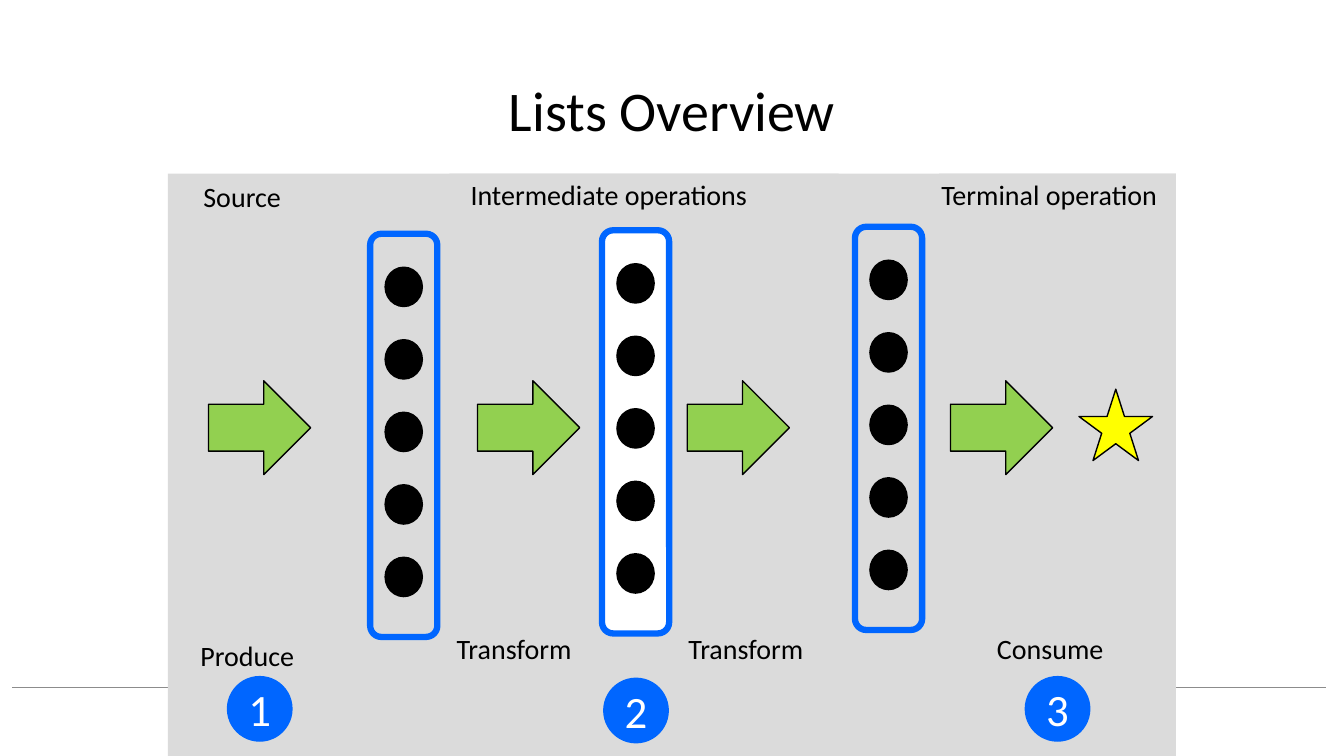
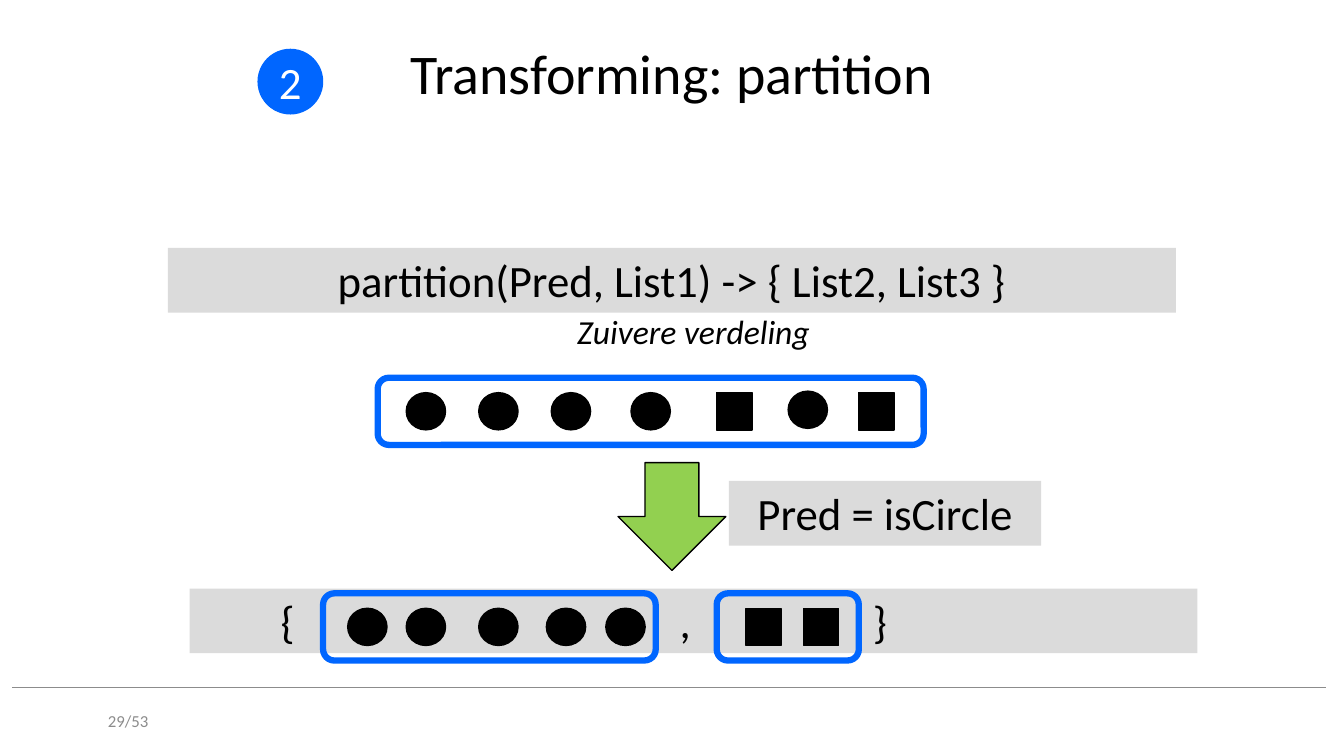
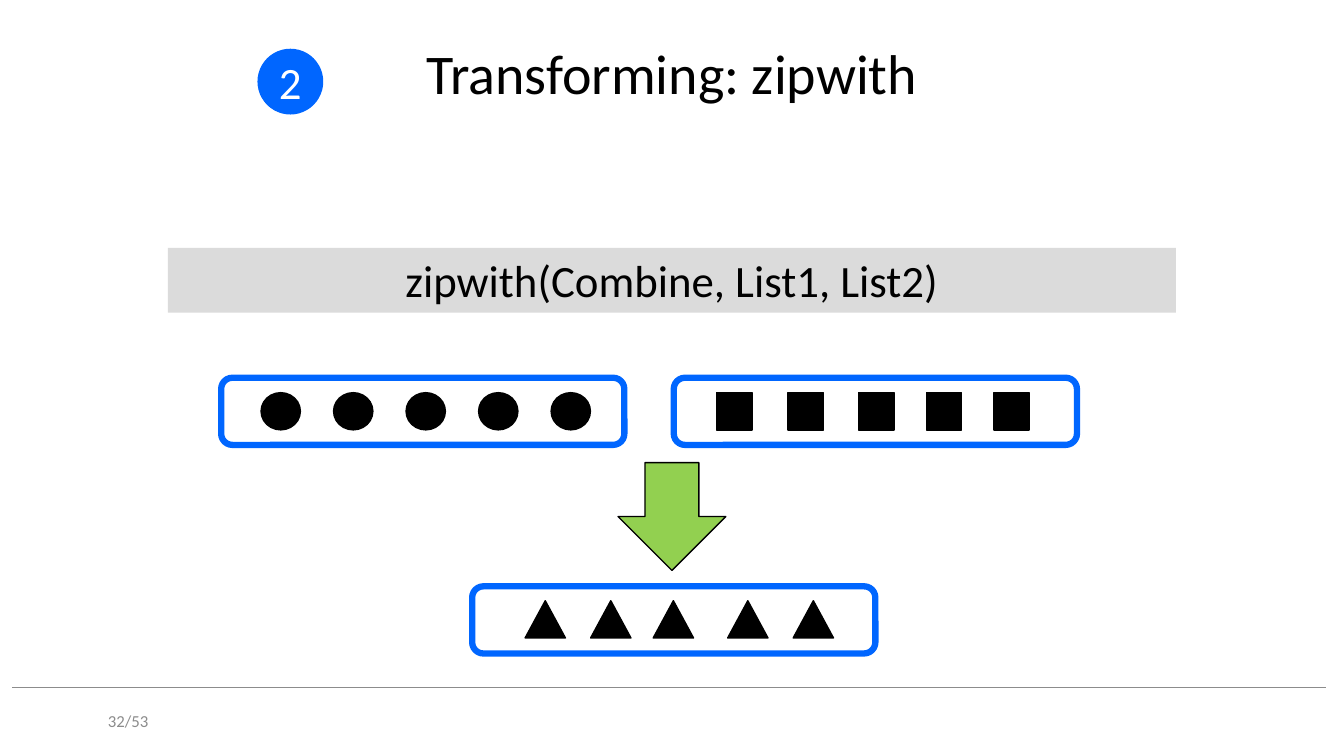
from lxml import etree
from pptx import Presentation
from pptx.dml.color import RGBColor
from pptx.enum.shapes import MSO_CONNECTOR, MSO_SHAPE
from pptx.enum.text import MSO_ANCHOR, MSO_AUTO_SIZE, PP_ALIGN
from pptx.oxml.ns import qn
from pptx.util import Pt

RECT, CAPSULE = MSO_SHAPE.RECTANGLE, MSO_SHAPE.ROUNDED_RECTANGLE
CIRCLE, TRIANGLE = MSO_SHAPE.OVAL, MSO_SHAPE.ISOSCELES_TRIANGLE
RIGHT, DOWN = MSO_SHAPE.RIGHT_ARROW, MSO_SHAPE.DOWN_ARROW
STAR = MSO_SHAPE.STAR_5_POINT
STRAIGHT = MSO_CONNECTOR.STRAIGHT
LEFT_ALIGN, CENTER, RIGHT_ALIGN = PP_ALIGN.LEFT, PP_ALIGN.CENTER, PP_ALIGN.RIGHT
TOP, MIDDLE = MSO_ANCHOR.TOP, MSO_ANCHOR.MIDDLE
GROW = MSO_AUTO_SIZE.SHAPE_TO_FIT_TEXT

FONT = "Calibri"
COLORS = {
    "ink": "000000", "paper": "FFFFFF", "panel": "DBDBDB", "blue": "0066FF",
    "green": "92D050", "yellow": "FFFF00", "rule": "8C8C8C", "page": "8C8C8C",
}
TOKEN_SIZES = {CIRCLE: (28.1, 26.6), RECT: (25.2, 26.6), TRIANGLE: (28.8, 26.6)}
STEP = 51.8
LIST_ROW = 293.8


def rgb(name):
    """Look up a colour of the palette."""
    return RGBColor.from_string(COLORS[name])


class Deck:
    """Holds the presentation, its style and the current slide."""

    def __init__(self):
        """Start an empty widescreen presentation."""
        self.deck = Presentation()
        self.deck.slide_width, self.deck.slide_height = Pt(960), Pt(540)
        self.slide = None

    def new_slide(self, title, title_height=52, page=None):
        """Add a slide with its footer rule, title and page number."""
        self.slide = self.deck.slides.add_slide(self.deck.slide_layouts[6])
        rule = self.slide.shapes.add_connector(
            STRAIGHT, Pt(8.6), Pt(491), Pt(946.8), Pt(491))
        rule.line.color.rgb = rgb("rule")
        rule.line.width = Pt(0.25)
        etree.SubElement(rule.element.spPr, qn("a:effectLst"))
        heading = self.text(title, 66, 28.8, 828, title_height, 40, CENTER, MIDDLE)
        heading.line_spacing = 0.9
        if page:
            self.text(page, 67, 500.4, 46, 28.8, 12, RIGHT_ALIGN, MIDDLE, "page")

    def fill_text(self, frame, words, size, align, anchor, color="ink", tabs=()):
        """Fill a text frame with one styled paragraph."""
        frame.vertical_anchor = anchor
        paragraph = frame.paragraphs[0]
        paragraph.text = words
        paragraph.alignment = align
        if tabs:
            stops = etree.SubElement(
                paragraph._p.get_or_add_pPr(), qn("a:tabLst"))
            for stop in tabs:
                etree.SubElement(
                    stops, qn("a:tab"), pos=str(Pt(stop)), algn="l")
        paragraph.font.name = FONT
        paragraph.font.size = Pt(size)
        paragraph.font.color.rgb = rgb(color)
        return paragraph

    def text(self, words, left, top, width, height, size,
             align=LEFT_ALIGN, anchor=TOP, color="ink"):
        """Add a wrapping text box."""
        box = self.slide.shapes.add_textbox(
            Pt(left), Pt(top), Pt(width), Pt(height))
        box.text_frame.word_wrap = True
        return self.fill_text(box.text_frame, words, size, align, anchor, color)

    def label(self, words, left, top, width):
        """Add a one-line label that does not wrap."""
        box = self.slide.shapes.add_textbox(
            Pt(left), Pt(top), Pt(width), Pt(31.5))
        box.text_frame.word_wrap = False
        box.text_frame.auto_size = GROW
        self.fill_text(box.text_frame, words, 20, LEFT_ALIGN, TOP)

    def shape(self, kind, x, y, width, height, fill=None, line=None, weight=1):
        """Add a preset shape centred on x, y."""
        shape = self.slide.shapes.add_shape(
            kind, Pt(x - width / 2), Pt(y - height / 2), Pt(width), Pt(height))
        shape.shadow.inherit = False
        if fill:
            shape.fill.solid()
            shape.fill.fore_color.rgb = rgb(fill)
        else:
            shape.fill.background()
        if line:
            shape.line.color.rgb = rgb(line)
            shape.line.width = Pt(weight)
        else:
            shape.line.fill.background()
        return shape

    def band(self, words, x, y, width=720, align=CENTER, tabs=()):
        """Add a grey band of code."""
        band = self.shape(RECT, x, y, width, 46.2, "panel")
        self.fill_text(band.text_frame, words, 32, align, TOP, tabs=tabs)

    def badge(self, number, x, y):
        """Add a numbered blue disc."""
        badge = self.shape(CIRCLE, x, y, 46, 46, "blue", "blue")
        self.fill_text(badge.text_frame, number, 32, CENTER, MIDDLE, "paper")

    def arrow(self, kind, x, y, width, height):
        """Add a green block arrow."""
        self.shape(kind, x, y, width, height, "green", "ink")

    def capsule(self, x, y, width=288, height=48, fill=None):
        """Add the blue outline of a list."""
        self.shape(CAPSULE, x, y, width, height, fill, "blue", 4.5)

    def tokens(self, kind, centers, y):
        """Add a row of list elements."""
        for x in centers:
            self.shape(kind, x, y, *TOKEN_SIZES[kind], "ink", "ink")

    def column(self, x, y, fill=None):
        """Add a vertical list of five circles."""
        self.capsule(x, y, 48, 288, fill)
        for place in range(-2, 3):
            self.shape(CIRCLE, x, y - 2.5 + place * STEP, 26.6, 28.1, "ink", "ink")

    def transform_slide(self, name, signature, page):
        """Start a slide on one transforming function."""
        self.new_slide(f"Transforming: {name}", page=page)
        self.band(signature, 480, 200.2)
        self.badge("2", 207.4, 58.3)
        self.arrow(DOWN, 480, 369, 77, 77)


def overview(deck):
    """Build the overview of the list pipeline."""
    deck.new_slide("Lists Overview", 104.4)
    for x, width in ((480, 720), (755.4, 169.2), (460, 278)):
        deck.shape(RECT, x, 332, width, 416, "panel")
    for x, y, fill in ((288.4, 311, None), (454, 308.5, "paper"), (634.7, 306, None)):
        deck.column(x, y, fill)
    for x in (185.4, 377.6, 527.4, 715.4):
        deck.arrow(RIGHT, x, 305.5, 73, 67)
    deck.shape(STAR, 797, 303.5, 52.6, 51, "yellow", "ink")
    for words, left, top, width in (
            ("Source", 138.2, 124.6, 70.6),
            ("Intermediate operations", 329, 123.4, 214.6),
            ("Terminal operation", 665.3, 123.4, 170.6),
            ("Produce", 136, 452.2, 82),
            ("Transform", 319, 447.2, 97.2),
            ("Transform", 484.6, 447.2, 97.2),
            ("Consume", 705, 447.2, 91.4)):
        deck.label(words, left, top, width)
    for number, x, y in (("1", 185.5, 506.3), ("2", 454.3, 507.5), ("3", 755.4, 506.3)):
        deck.badge(number, x, y)


def partition(deck):
    """Build the slide on partition."""
    deck.transform_slide(
        "partition", "partition(Pred, List1) -> { List2, List3 }", "29/53")
    verdict = deck.text("Zuivere verdeling", 135.4, 218.2, 720, 36, 24, CENTER)
    verdict.font.italic = True
    deck.capsule(464.8, LIST_ROW, 390)
    deck.tokens(CIRCLE, (304.2, 356, 407.8, 464.8), LIST_ROW)
    deck.tokens(CIRCLE, (577,), 292.7)
    deck.tokens(RECT, (524.5, 626), LIST_ROW)
    deck.band("Pred = isCircle", 632.2, 366.6, 223.2)
    result_row = 447.8
    deck.band("\t{\t,\t}", 495.4, 443.5, align=LEFT_ALIGN, tabs=(58, 343, 481))
    deck.capsule(349.6, result_row, 237.6)
    deck.tokens(CIRCLE, (262.4, 304.2, 356, 404.3, 446.8), result_row)
    deck.capsule(562.7, result_row, 101.5)
    deck.tokens(RECT, (545.4, 586.4), result_row)


def zipwith(deck):
    """Build the slide on zipwith."""
    deck.transform_slide("zipwith", "zipwith(Combine, List1, List2)", "32/53")
    deck.capsule(302, LIST_ROW)
    deck.tokens(CIRCLE, [200.5 + place * STEP for place in range(5)], LIST_ROW)
    deck.capsule(625.3, LIST_ROW)
    deck.tokens(RECT, (524.5, 575.6, 626, 674.3, 722.5), LIST_ROW)
    deck.capsule(481.3, 442.8)
    deck.tokens(TRIANGLE, (389.5, 436.3, 481, 534.2, 581), 442.4)


def main():
    """Build and save the three slides."""
    deck = Deck()
    overview(deck)
    partition(deck)
    zipwith(deck)
    deck.deck.save("out.pptx")


if __name__ == "__main__":
    main()
